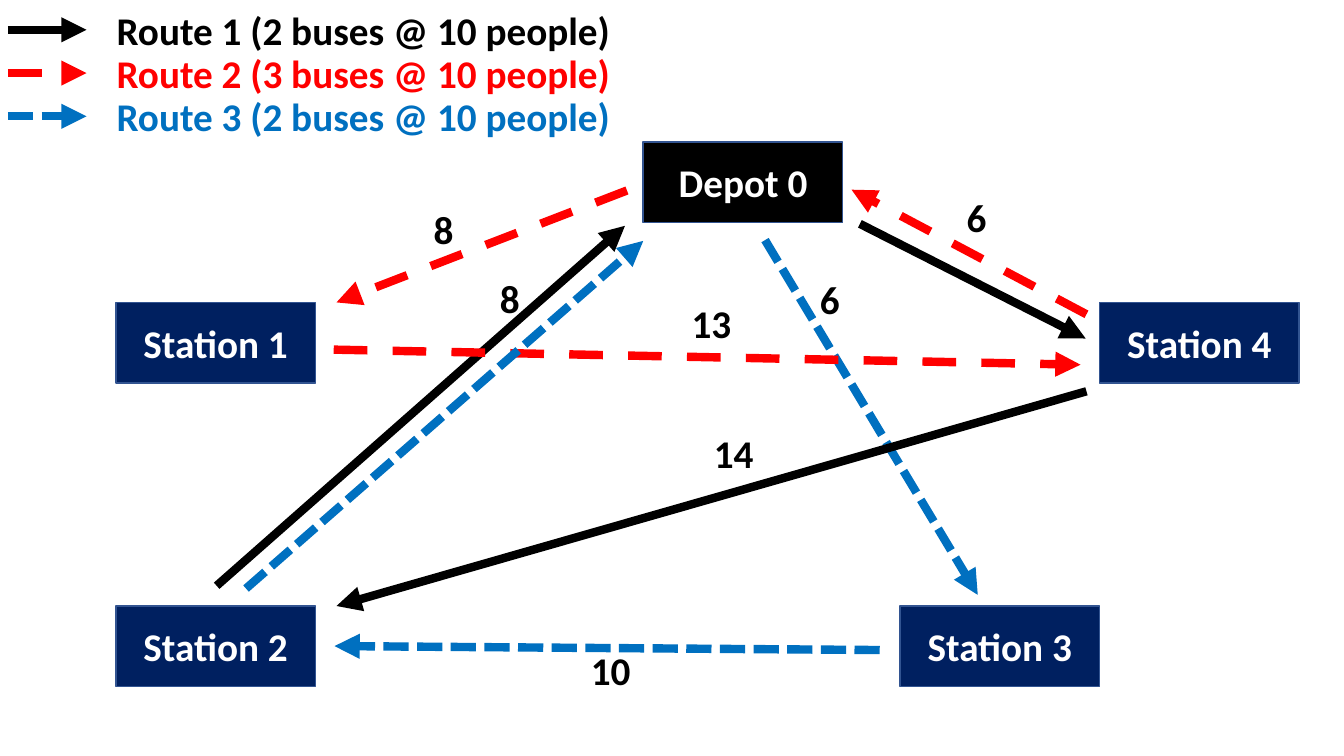
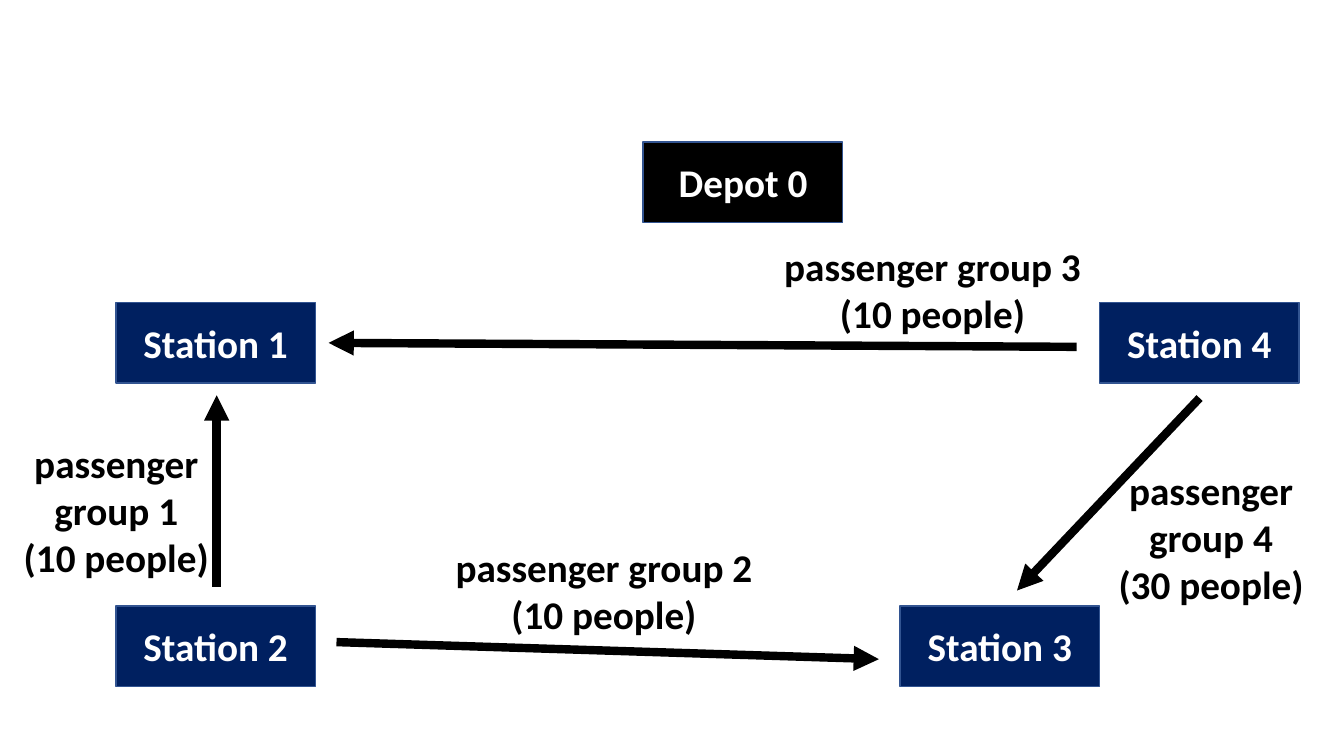
from lxml.etree import SubElement
from pptx import Presentation
from pptx.dml.color import RGBColor
from pptx.enum.dml import MSO_LINE as Dash
from pptx.enum.shapes import MSO_CONNECTOR as Connector, MSO_SHAPE as Shape
from pptx.enum.text import MSO_ANCHOR as Anchor, MSO_AUTO_SIZE as Fit, PP_ALIGN as Align
from pptx.oxml.ns import qn
from pptx.util import Cm, Pt

COLOURS = {
    "black": "000000",
    "red": "FF0000",
    "blue": "0070C0",
    "navy": "002060",
    "outline": "325491",
    "white": "FFFFFF",
}
FONT = {"name": "Calibri", "size": Pt(28), "bold": True}
SLIDE_SIZE = (33.87, 19.05)
STOP_SIZE = (5.03, 2.03)
LINE_HEIGHT = 1.2

STOPS = [
    ("Station 1", 2.92, 7.62, "navy"),
    ("Station 2", 2.92, 15.27, "navy"),
    ("Depot 0", 16.21, 3.58, "black"),
    ("Station 4", 27.71, 7.62, "navy"),
    ("Station 3", 22.68, 15.27, "navy"),
]

ROUTES = {
    1: ("Route 1 (2 buses @ 10 people)", "black", None),
    2: ("Route 2 (3 buses @ 10 people)", "red", Dash.DASH),
    3: ("Route 3 (2 buses @ 10 people)", "blue", Dash.SQUARE_DOT),
}
LEGEND = {"left": 2.69, "top": 0.03, "width": 13.08, "step": 1.09}
LEGEND_ARROW = {"start": 0.2, "end": 2.18, "drop": 0.72}

ROUTE_LEGS = [
    (2, (15.8, 4.8), (8.48, 7.62)),
    (1, (21.67, 5.64), (27.36, 8.53)),
    (3, (19.28, 6.05), (24.64, 14.99)),
    (1, (27.38, 9.86), (8.48, 15.27)),
    (1, (5.46, 14.76), (15.75, 5.69)),
    (2, (8.41, 8.81), (27.23, 9.19)),
    (2, (27.38, 7.92), (21.46, 4.78)),
    (3, (22.17, 16.38), (8.43, 16.28)),
    (3, (6.2, 14.83), (16.21, 6.07)),
]
DISTANCES = [
    ("8", 11.18, 5.05),
    ("6", 24.61, 4.75),
    ("8", 12.85, 6.78),
    ("13", 17.93, 7.42),
    ("10", 15.39, 16.15),
    ("14", 18.49, 10.69),
    ("6", 20.91, 6.81),
]

TRIPS = [
    ((27.13, 8.74), (8.28, 8.64)),
    ((30.23, 10.03), (25.63, 14.88)),
    ((8.48, 16.18), (22.15, 16.61)),
    ((5.46, 14.78), (5.46, 9.96)),
]
GROUPS = [
    (["passenger group 3", "(10 people)"], 23.5, 5.97, 8.89, 2),
    (["passenger group 2", "(10 people)"], 15.22, 13.56, 8.89, 2),
    (["passenger group 1", "(10 people)"], 2.93, 10.95, 5.86, 3),
    (["passenger group 4", "(30 people)"], 30.52, 11.63, 5.86, 3),
]


def colour(name):
    return RGBColor.from_string(COLOURS[name])


def assign(target, values):
    for name, value in values.items():
        setattr(target, name, value)


def write(frame, lines, ink, align):
    for index, line in enumerate(lines):
        para = frame.paragraphs[0] if index == 0 else frame.add_paragraph()
        para.alignment = align
        span = para.add_run()
        span.text = line
        assign(span.font, FONT)
        span.font.color.rgb = colour(ink)


def add_label(page, lines, left, top, width, rows=1, ink="black", align=Align.CENTER, wrap=False):
    height = 0.25 + rows * LINE_HEIGHT
    box = page.shapes.add_textbox(Cm(left), Cm(top), Cm(width), Cm(height))
    assign(box.text_frame, {"word_wrap": wrap, "auto_size": Fit.SHAPE_TO_FIT_TEXT})
    write(box.text_frame, lines, ink, align)


def add_arrow(page, start, end, ink="black", dash=None):
    points = [Cm(value) for value in (*start, *end)]
    arrow = page.shapes.add_connector(Connector.STRAIGHT, *points)
    arrow.line.color.rgb = colour(ink)
    assign(arrow.line, {"width": Pt(6), "dash_style": dash})
    SubElement(arrow.line._get_or_add_ln(), qn("a:tailEnd"), type="triangle")
    SubElement(arrow._element.spPr, qn("a:effectLst"))


def add_stops(page):
    for name, left, top, fill in STOPS:
        box = page.shapes.add_shape(Shape.RECTANGLE, *map(Cm, (left, top, *STOP_SIZE)))
        box.shadow.inherit = False
        box.fill.solid()
        box.fill.fore_color.rgb = colour(fill)
        box.line.color.rgb = colour("outline")
        box.line.width = Pt(1)
        box.text_frame.vertical_anchor = Anchor.MIDDLE
        write(box.text_frame, [name], "white", Align.CENTER)


def add_legend(page):
    for index, (name, ink, dash) in enumerate(ROUTES.values()):
        top = LEGEND["top"] + index * LEGEND["step"]
        middle = top + LEGEND_ARROW["drop"]
        add_arrow(page, (LEGEND_ARROW["start"], middle), (LEGEND_ARROW["end"], middle), ink, dash)
        add_label(page, [name], LEGEND["left"], top, LEGEND["width"], ink=ink, align=Align.LEFT)


def build_routes(page):
    add_legend(page)
    add_stops(page)
    for route, start, end in ROUTE_LEGS:
        add_arrow(page, start, end, *ROUTES[route][1:])
    for distance, centre, top in DISTANCES:
        width = 0.51 * (1 + len(distance))
        add_label(page, [distance], centre - width / 2, top, width)


def build_passengers(page):
    add_stops(page)
    for start, end in TRIPS:
        add_arrow(page, start, end)
    for lines, centre, top, width, rows in GROUPS:
        add_label(page, lines, centre - width / 2, top, width, rows, wrap=True)


def main():
    deck = Presentation()
    deck.slide_width, deck.slide_height = map(Cm, SLIDE_SIZE)
    for build in (build_routes, build_passengers):
        build(deck.slides.add_slide(deck.slide_layouts[6]))
    deck.save("out.pptx")


if __name__ == "__main__":
    main()
